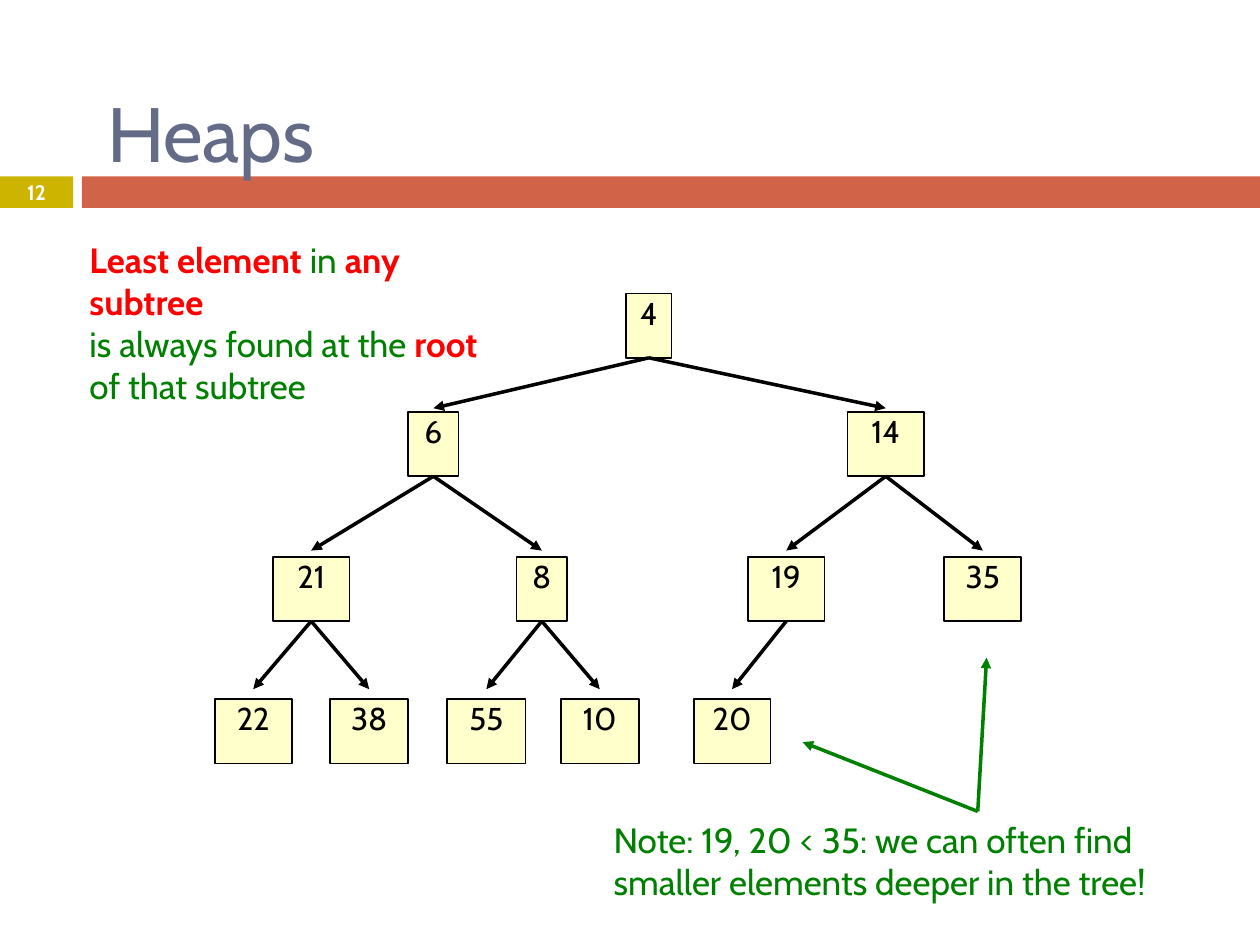
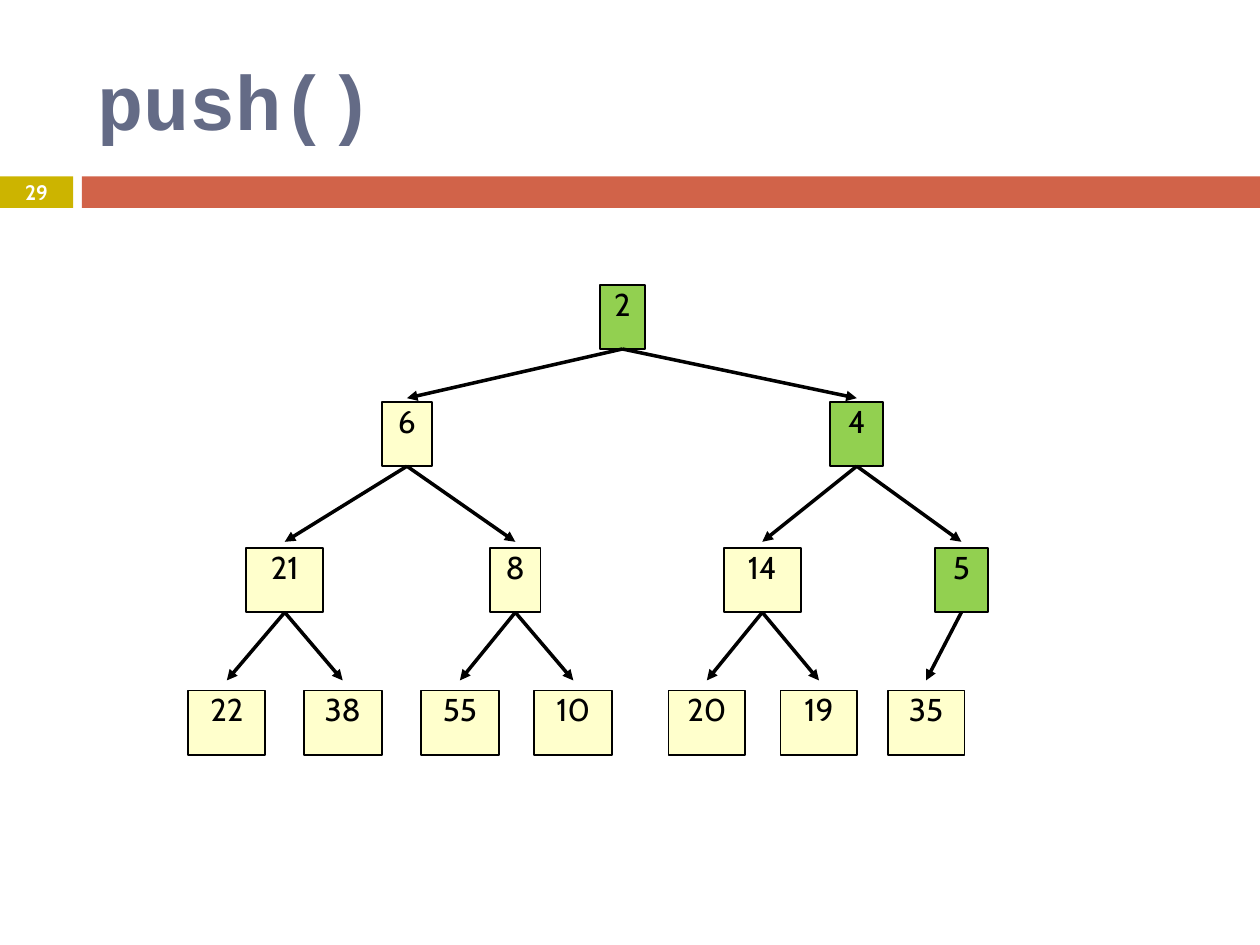
from lxml import etree
from pptx import Presentation
from pptx import util as u
from pptx.dml.color import RGBColor
from pptx.enum import shapes, text
from pptx.oxml import ns

BLACK = RGBColor(0x00, 0x00, 0x00)
WHITE = RGBColor(0xFF, 0xFF, 0xFF)
GOLD = RGBColor(0xCC, 0xB4, 0x00)
RUST = RGBColor(0xD1, 0x63, 0x49)
SLATE = RGBColor(0x64, 0x6B, 0x86)
CREAM = RGBColor(0xFF, 0xFF, 0xCC)
LIME = RGBColor(0x92, 0xD0, 0x50)
GREEN = RGBColor(0x00, 0x80, 0x00)
RED = RGBColor(0xFF, 0x00, 0x00)
FONT = "Cabin"
CODE_FONT = "Courier New"

BANDS = [((0, 1.4, 0.58, 0.25), GOLD), ((0.65, 1.4, 9.35, 0.25), RUST)]
NUMBER_AREA = (0, 1.39, 0.58, 0.27)
NODE_HEIGHT = 0.51
ARROW_GAPS = [0, 0.03, 0.05, 0.08]

# Heap order: label, centre, width
SLIDES = [
    {
        "title": "Heaps", "title_area": (0.75, 0.42, 8.5, 1.25),
        "title_font": FONT, "title_bold": False, "number": "12",
        "level_tops": [2.33, 3.27, 4.42, 5.55],
        "nodes": [
            ("4", 5.15, 0.36),
            ("6", 3.44, 0.4), ("14", 7.03, 0.61),
            ("21", 2.47, 0.61), ("8", 4.3, 0.4), ("19", 6.24, 0.61), ("35", 7.8, 0.61),
            ("22", 2.01, 0.61), ("38", 2.93, 0.62), ("55", 3.86, 0.62),
            ("10", 4.76, 0.62), ("20", 5.81, 0.61),
        ],
        "changed": [],
        "notes": [
            ((0.67, 1.89, 3.39, 1.01), [
                [("Least element", RED), (" in ", GREEN), ("any subtree", RED)],
                [("is always found at the ", GREEN), ("root", RED)],
                [("of that subtree", GREEN)],
            ]),
            ((4.83, 6.5, 4.56, 0.67), [
                [("Note: 19, 20 < 35: we can often find", GREEN)],
                [("smaller elements deeper in the tree!", GREEN)],
            ]),
        ],
        "pointers": [((7.76, 6.44), (6.37, 5.89)), ((7.76, 6.44), (7.83, 5.22))],
    },
    {
        "title": "push()", "title_area": (0.67, 0.25, 8.92, 1.08),
        "title_font": CODE_FONT, "title_bold": True, "number": "29",
        "level_tops": [2.26, 3.19, 4.35, 5.48],
        "nodes": [
            ("2", 4.94, 0.36),
            ("6", 3.23, 0.4), ("4", 6.8, 0.42),
            ("21", 2.26, 0.61), ("8", 4.09, 0.4), ("14", 6.05, 0.61), ("5", 7.63, 0.42),
            ("22", 1.8, 0.61), ("38", 2.72, 0.62), ("55", 3.65, 0.62),
            ("10", 4.55, 0.62), ("20", 5.61, 0.61), ("19", 6.5, 0.61), ("35", 7.35, 0.61),
        ],
        "changed": ["2", "4", "5"],
        "notes": [],
        "pointers": [],
    },
]


def inches(values):
    return [u.Inches(value) for value in values]


def style(font, size, color, name=FONT, bold=False):
    font.name, font.size, font.bold = name, u.Pt(size), bold
    font.color.rgb = color


def add_rectangle(page, area, color):
    box = page.shapes.add_shape(shapes.MSO_SHAPE.RECTANGLE, *inches(area))
    box.shadow.inherit = False
    box.fill.solid()
    box.fill.fore_color.rgb = color
    box.line.fill.background()
    return box


def set_tight_frame(frame, space_before):
    frame.margin_left = frame.margin_top = frame.margin_bottom = 0
    frame.margin_right = u.Inches(0.04)
    frame.vertical_anchor = text.MSO_ANCHOR.TOP
    para = frame.paragraphs[0]
    para.space_before = u.Pt(space_before)
    properties = para._p.get_or_add_pPr()
    properties.set("marL", str(u.Inches(0.04)))
    properties.set("indent", "0")
    return para


def add_node(page, label, area, color):
    box = add_rectangle(page, area, color)
    box.line.color.rgb = BLACK
    box.line.width = u.Pt(1)
    para = set_tight_frame(box.text_frame, 14)
    para.text = label
    para.alignment = text.PP_ALIGN.CENTER
    style(para.font, 18, BLACK)


def add_arrow(page, start, end, color):
    arrow = page.shapes.add_connector(
        shapes.MSO_CONNECTOR.STRAIGHT, *inches(start + end))
    arrow.line.color.rgb = color
    arrow.line.width = u.Pt(2)
    head = etree.SubElement(arrow.line._get_or_add_ln(), ns.qn("a:tailEnd"))
    head.set("type", "triangle")
    etree.SubElement(arrow.element.spPr, ns.qn("a:effectLst"))


def add_heap(page, nodes, tops, changed):
    for index, (label, center, width) in enumerate(nodes):
        level = (index + 1).bit_length() - 1
        color = LIME if label in changed else CREAM
        area = (center - width / 2, tops[level], width, NODE_HEIGHT)
        add_node(page, label, area, color)
        if index:
            parent_center = nodes[(index - 1) // 2][1]
            add_arrow(page, (parent_center, tops[level - 1] + NODE_HEIGHT),
                      (center, tops[level] - ARROW_GAPS[level]), BLACK)


def add_note(page, area, lines):
    box = page.shapes.add_textbox(*inches(area))
    box.text_frame.word_wrap = True
    para = set_tight_frame(box.text_frame, 11.5)
    for position, line in enumerate(lines):
        if position:
            para.add_line_break()
        for words, color in line:
            span = para.add_run()
            span.text = words
            style(span.font, 20, color, bold=color == RED)


def add_number(page, number):
    box = page.shapes.add_textbox(*inches(NUMBER_AREA))
    box.text_frame.word_wrap = True
    box.text_frame.vertical_anchor = text.MSO_ANCHOR.MIDDLE
    para = box.text_frame.paragraphs[0]
    para.text = number
    para.alignment = text.PP_ALIGN.CENTER
    style(para.font, 12, WHITE, bold=True)


def set_title(page, content):
    title = page.shapes.title
    title.left, title.top, title.width, title.height = inches(content["title_area"])
    frame = title.text_frame
    frame.auto_size = text.MSO_AUTO_SIZE.NONE
    frame.vertical_anchor = text.MSO_ANCHOR.MIDDLE
    para = frame.paragraphs[0]
    para.text = content["title"]
    para.alignment = text.PP_ALIGN.LEFT
    style(para.font, 44, SLATE, content["title_font"], content["title_bold"])


deck = Presentation()
deck.slide_width, deck.slide_height = inches((10, 7.5))
layout = deck.slide_layouts.get_by_name("Title Only")
pages = [deck.slides.add_slide(layout) for content in SLIDES]

for area, color in BANDS:
    band = add_rectangle(pages[0], area, color)
    layout.shapes.element.append(band.element)

for page, content in zip(pages, SLIDES):
    set_title(page, content)
    add_heap(page, content["nodes"], content["level_tops"], content["changed"])
    for area, lines in content["notes"]:
        add_note(page, area, lines)
    for start, end in content["pointers"]:
        add_arrow(page, start, end, GREEN)
    add_number(page, content["number"])

deck.save("out.pptx")
